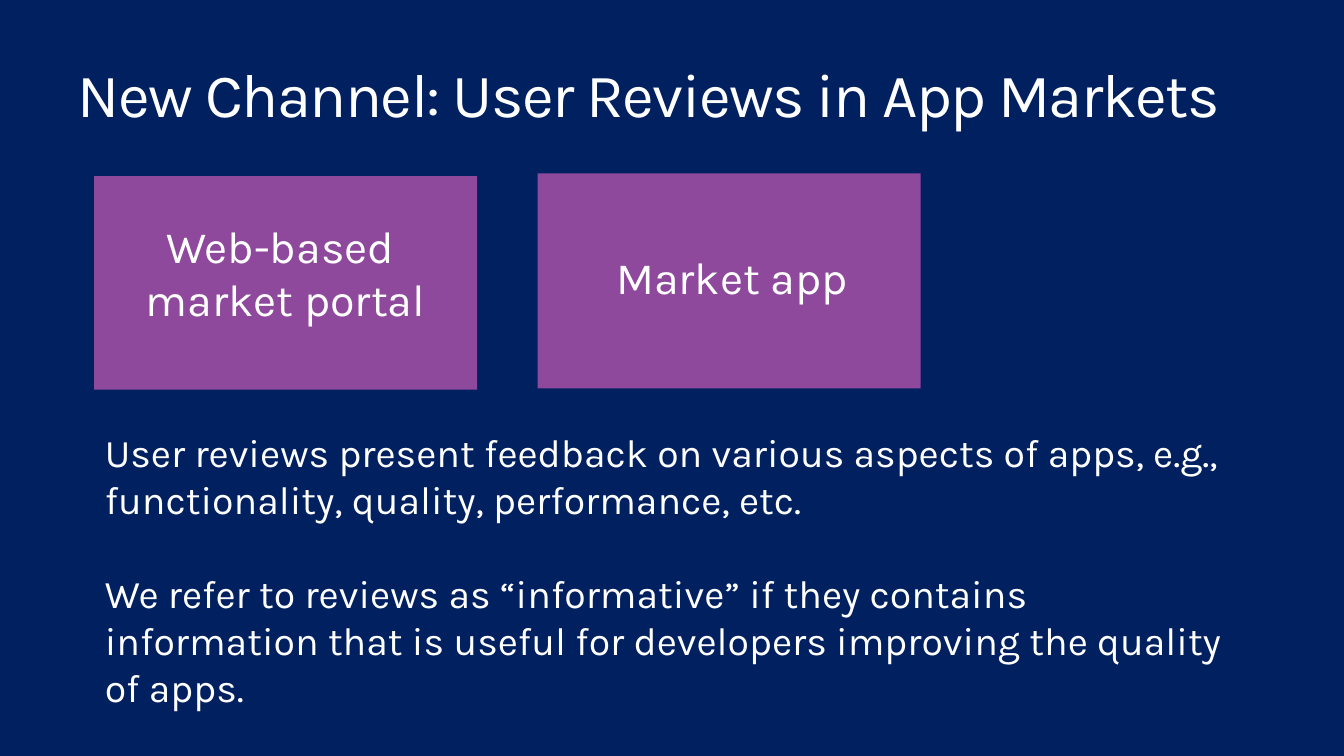
from pptx import Presentation
from pptx.dml.color import RGBColor
from pptx.enum.shapes import MSO_SHAPE
from pptx.enum.text import MSO_ANCHOR, MSO_AUTO_SIZE, PP_ALIGN
from pptx.oxml.ns import qn
from pptx.util import Inches, Pt

NAVY = RGBColor(0x00, 0x20, 0x60)
PURPLE = RGBColor(0x8E, 0x49, 0x9C)
WHITE = RGBColor(0xFF, 0xFF, 0xFF)
FONT = "Karla"

TITLE = "New Channel: User Reviews in App Markets"
PORTAL = ["Web-based ", "market portal"]
MARKET = ["Market app"]
POINTS = [
    "User reviews present feedback on various aspects of apps, e.g., "
    "functionality, quality, performance, etc.",
    "We refer to reviews as “informative” if they contains information "
    "that is useful for developers improving the quality of apps.",
]


def place(shape, box):
    shape.left, shape.top, shape.width, shape.height = map(Inches, box)


def write(shape, lines, size, align=PP_ALIGN.LEFT, anchor=MSO_ANCHOR.TOP,
          insets=(0, 0, 0, 0), gap=0, spacing=1.0, track=0):
    """Fill a shape with paragraphs; gap is in points, track in 1/100 point."""
    frame = shape.text_frame
    frame.word_wrap = True
    frame.auto_size = MSO_AUTO_SIZE.NONE
    frame.vertical_anchor = anchor
    (frame.margin_left, frame.margin_top,
     frame.margin_right, frame.margin_bottom) = map(Inches, insets)
    for i, line in enumerate(lines):
        para = frame.add_paragraph() if i else frame.paragraphs[0]
        props = para._p.get_or_add_pPr()
        props.set("marL", "0")
        props.set("indent", "0")
        para.alignment = align
        para.line_spacing = spacing
        para.space_before = Pt(gap if i else 0)
        props.append(props.makeelement(qn("a:buNone"), {}))
        run = para.add_run()
        run.text = line
        run.font.name = FONT
        run.font.size = Pt(size)
        run.font.color.rgb = WHITE
        if track:
            run.font._element.set("spc", str(track))


def add_card(slide, box):
    card = slide.shapes.add_shape(MSO_SHAPE.RECTANGLE, *map(Inches, box))
    card.shadow.inherit = False
    card.fill.solid()
    card.fill.fore_color.rgb = PURPLE
    card.line.fill.background()
    return card


def main():
    deck = Presentation()
    deck.slide_width = Inches(10)
    deck.slide_height = deck.slide_width * 9 // 16
    slide = deck.slides.add_slide(deck.slide_layouts[1])
    slide.background.fill.solid()
    slide.background.fill.fore_color.rgb = NAVY

    title, body = slide.shapes.title, slide.placeholders[1]
    place(title, (0.58, 0.48, 9.33, 0.67))
    write(title, [TITLE], 33, spacing=0.9, track=-80)

    add_card(slide, (4, 1.29, 2.85, 1.6))
    portal = add_card(slide, (0.7, 1.31, 2.85, 1.59))
    write(portal, PORTAL, 24, align=PP_ALIGN.CENTER,
          anchor=MSO_ANCHOR.MIDDLE, insets=(0.08, 0, 0.08, 0.16))
    label = slide.shapes.add_textbox(*map(Inches, (4, 1.8, 2.89, 0.57)))
    write(label, MARKET, 24, align=PP_ALIGN.CENTER,
          insets=(0.1, 0.1, 0.1, 0.1), spacing=0.9)

    place(body, (0.7, 3.15, 8.5, 1.84))
    write(body, POINTS, 21, insets=(0.08, 0.04, 0.07, 0.04), gap=25)

    deck.save("out.pptx")


if __name__ == "__main__":
    main()
